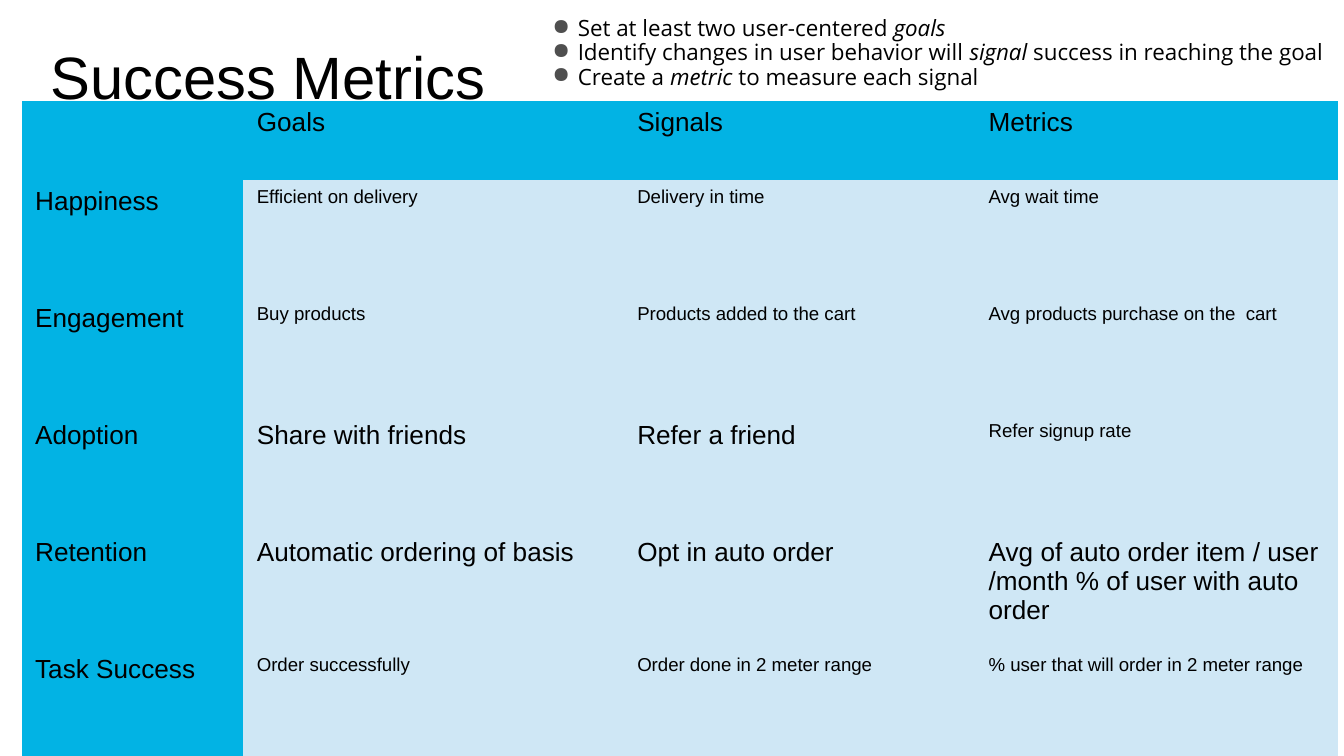
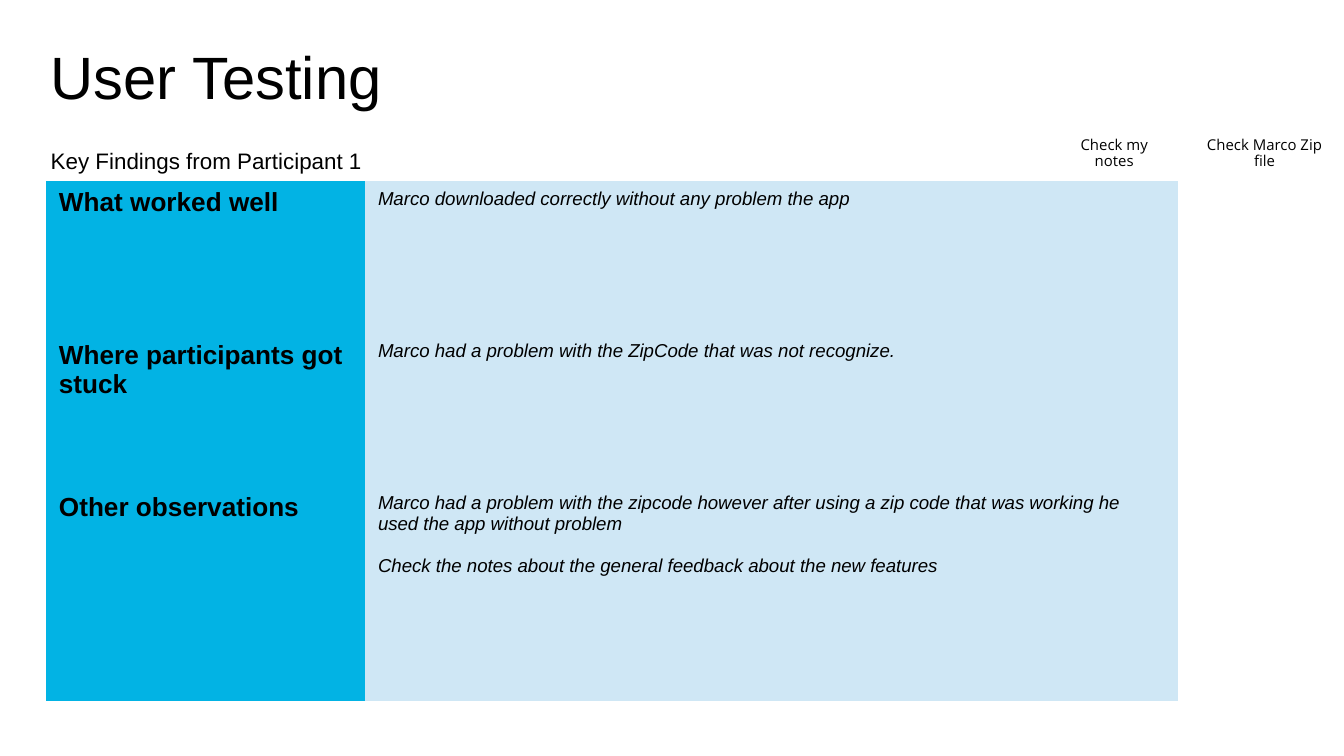
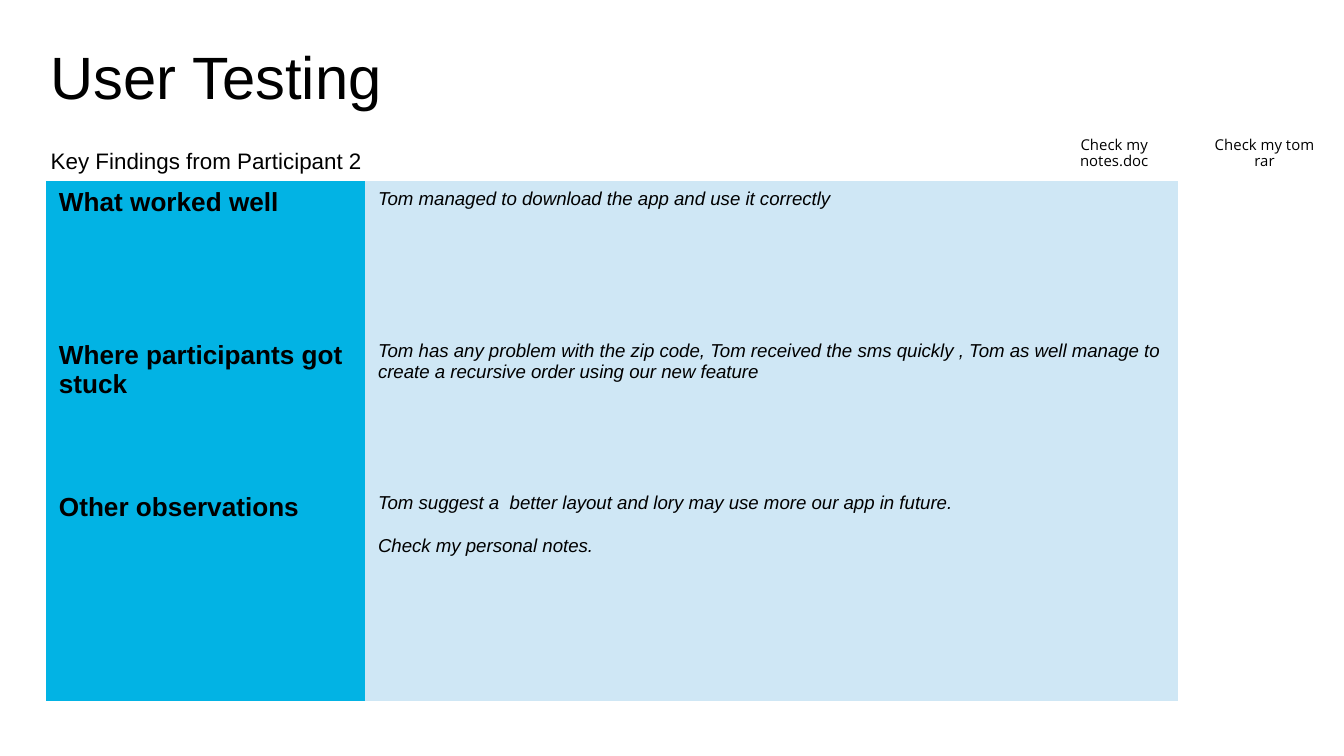
from dataclasses import dataclass
from typing import NamedTuple

from lxml.etree import SubElement
from pptx import Presentation
from pptx.dml.color import RGBColor
from pptx.enum.text import MSO_ANCHOR, PP_ALIGN
from pptx.oxml.ns import qn
from pptx.slide import Slide
from pptx.text.text import TextFrame
from pptx.util import Cm, Pt

BLACK = "000000"
BULLET_GREY = "4F4F4F"
HEADING_BLUE = "02B3E4"
BODY_BLUE = "CFE7F5"

PLAIN_TABLE_STYLE = "{2D5ABB26-0587-4C30-8999-92F81FD0307C}"
LEFT_MARGIN = 0.86
FULL_WIDTH = 23.67


class Box(NamedTuple):
    """Left, top, width and height in centimetres."""
    left: float
    top: float
    width: float
    height: float


@dataclass(frozen=True)
class TextStyle:
    size: float
    font: str = "Arial"
    bold: bool = False
    italic: bool = False
    align: PP_ALIGN = PP_ALIGN.LEFT
    line_spacing: float = 1.0
    paragraph_gap: float = 0
    anchor: MSO_ANCHOR = MSO_ANCHOR.TOP
    inset: float = 0.25


@dataclass(frozen=True)
class Cell:
    text: str
    style: TextStyle
    fill: str = BODY_BLUE


class Advice(NamedTuple):
    before: str
    term: str
    after: str


class Participant(NamedTuple):
    number: int
    file_labels: tuple[str, str]
    findings: tuple[str, str, str]


TITLE = TextStyle(32, anchor=MSO_ANCHOR.BOTTOM, inset=0.1)
SUBTITLE = TextStyle(12, line_spacing=1.15, anchor=MSO_ANCHOR.MIDDLE, inset=0.1)
ADVICE = TextStyle(12, font="Open Sans", line_spacing=0.9)
FILE_LABEL = TextStyle(8, font="Open Sans", align=PP_ALIGN.CENTER, line_spacing=0.9)
LARGE = TextStyle(14)
SMALL = TextStyle(10)
QUESTION = TextStyle(14, bold=True)
FINDING = TextStyle(10, italic=True, paragraph_gap=11.5)

ADVICE_LINES = [
    Advice("Set at least two user-centered ", "goals", ""),
    Advice("Identify changes in user behavior will ", "signal",
           " success in reaching the goal"),
    Advice("Create a ", "metric", " to measure each signal"),
]

METRIC_HEADINGS = ["", "Goals", "Signals", "Metrics"]
METRIC_ROWS = [
    ("Happiness", ("Efficient on delivery", SMALL), ("Delivery in time", SMALL),
     ("Avg wait time", SMALL)),
    ("Engagement", ("Buy products", SMALL), ("Products added to the cart", SMALL),
     ("Avg products purchase on the  cart", SMALL)),
    ("Adoption", ("Share with friends", LARGE), ("Refer a friend", LARGE),
     ("Refer signup rate", SMALL)),
    ("Retention", ("Automatic ordering of basis", LARGE), ("Opt in auto order", LARGE),
     ("Avg of auto order item / user /month % of user with auto order", LARGE)),
    ("Task Success", ("Order successfully", SMALL),
     ("Order done in 2 meter range", SMALL),
     ("% user that will order in 2 meter range", SMALL)),
]

QUESTIONS = ["What worked well", "Where participants got stuck", "Other observations"]
PARTICIPANTS = [
    Participant(1, ("Check my\nnotes", "Check Marco Zip file"), (
        "Marco downloaded correctly without any problem the app",
        "Marco had a problem with the ZipCode that was not recognize.",
        "Marco had a problem with the zipcode however after using a zip code that "
        "was working he used the app without problem\n"
        "Check the notes about the general feedback about the new features",
    )),
    Participant(2, ("Check my notes.doc", "Check my tom rar"), (
        "Tom managed to download the app and use it correctly",
        "Tom has any problem with the zip code, Tom received the sms quickly , "
        "Tom as well manage to create a recursive order using our new feature",
        "Tom suggest a  better layout and lory may use more our app in future.\n"
        "Check my personal notes.",
    )),
]


def rgb(value: str) -> RGBColor:
    return RGBColor.from_string(value)


def format_text(frame: TextFrame, style: TextStyle) -> None:
    for index, paragraph in enumerate(frame.paragraphs):
        paragraph.alignment = style.align
        paragraph.line_spacing = style.line_spacing
        if index and style.paragraph_gap:
            paragraph.space_before = Pt(style.paragraph_gap)
        for run in paragraph.runs:
            run.font.size = Pt(style.size)
            run.font.name = style.font
            run.font.bold = style.bold
            run.font.italic = style.italic
            run.font.color.rgb = rgb(BLACK)


def add_text(slide: Slide, box: Box, text: str, style: TextStyle) -> TextFrame:
    frame = slide.shapes.add_textbox(*map(Cm, box)).text_frame
    frame.word_wrap = True
    frame.vertical_anchor = style.anchor
    frame.margin_left = frame.margin_right = Cm(style.inset)
    frame.margin_top = frame.margin_bottom = Cm(style.inset)
    frame.text = text
    format_text(frame, style)
    return frame


def add_title(slide: Slide, text: str, width: float = FULL_WIDTH) -> None:
    add_text(slide, Box(LEFT_MARGIN, 0.61, width, 1.6), text, TITLE)


def add_advice(slide: Slide, box: Box, lines: list[Advice]) -> None:
    """Bulleted list with the key term of each line in italics."""
    frame = add_text(slide, box, "\n".join(line.before for line in lines), ADVICE)
    for paragraph, line in zip(frame.paragraphs, lines):
        for part in filter(None, (line.term, line.after)):
            paragraph.add_run().text = part
    format_text(frame, ADVICE)
    for paragraph in frame.paragraphs:
        paragraph.runs[1].font.italic = True
        properties = paragraph._p.get_or_add_pPr()
        properties.set("marL", str(Cm(0.48)))
        properties.set("indent", str(Cm(-0.48)))
        colour = SubElement(properties, qn("a:buClr"))
        SubElement(colour, qn("a:srgbClr"), val=BULLET_GREY)
        SubElement(properties, qn("a:buChar"), char="●")


def add_grid(slide: Slide, left: float, top: float, widths: list[float],
             heights: list[float], rows: list[list[Cell]]) -> None:
    box = Box(left, top, sum(widths), sum(heights))
    table = slide.shapes.add_table(len(heights), len(widths), *map(Cm, box)).table
    table.first_row = table.horz_banding = False
    table._tbl.tblPr.find(qn("a:tableStyleId")).text = PLAIN_TABLE_STYLE
    for column, width in zip(table.columns, widths):
        column.width = Cm(width)
    for row, height, contents in zip(table.rows, heights, rows):
        row.height = Cm(height)
        for cell, content in zip(row.cells, contents):
            cell.fill.solid()
            cell.fill.fore_color.rgb = rgb(content.fill)
            cell.text_frame.text = content.text
            format_text(cell.text_frame, content.style)


def build_metrics(slide: Slide) -> None:
    add_title(slide, "Success Metrics", width=8.51)
    rows = [[Cell(heading, LARGE, HEADING_BLUE) for heading in METRIC_HEADINGS]]
    for category, *entries in METRIC_ROWS:
        rows.append([Cell(category, LARGE, HEADING_BLUE)]
                    + [Cell(text, style) for text, style in entries])
    heights = [1.49] + [2.21] * len(METRIC_ROWS)
    add_grid(slide, 0.41, 1.91, [4.19, 7.19, 6.64, 6.86], heights, rows)
    add_advice(slide, Box(10.19, 0.08, 15.11, 1.85), ADVICE_LINES)


def build_findings(slide: Slide, participant: Participant) -> None:
    add_title(slide, "User Testing")
    add_text(slide, Box(LEFT_MARGIN, 2.57, FULL_WIDTH, 0.86),
             f"Key Findings from Participant {participant.number}", SUBTITLE)
    for position, label in enumerate(participant.file_labels):
        add_text(slide, Box(19.66 + 2.84 * position, 2.36, 2.8, 1.22), label, FILE_LABEL)
    rows = [[Cell(question, QUESTION, HEADING_BLUE), Cell(finding, FINDING)]
            for question, finding in zip(QUESTIONS, participant.findings)]
    add_grid(slide, LEFT_MARGIN, 3.43, [6.03, 15.37], [2.88, 2.88, 4.06], rows)


def main() -> None:
    presentation = Presentation()
    presentation.slide_width = Cm(25.4)
    presentation.slide_height = Cm(14.29)
    blank = presentation.slide_layouts[6]
    build_metrics(presentation.slides.add_slide(blank))
    for participant in PARTICIPANTS:
        build_findings(presentation.slides.add_slide(blank), participant)
    presentation.save("out.pptx")


if __name__ == "__main__":
    main()
